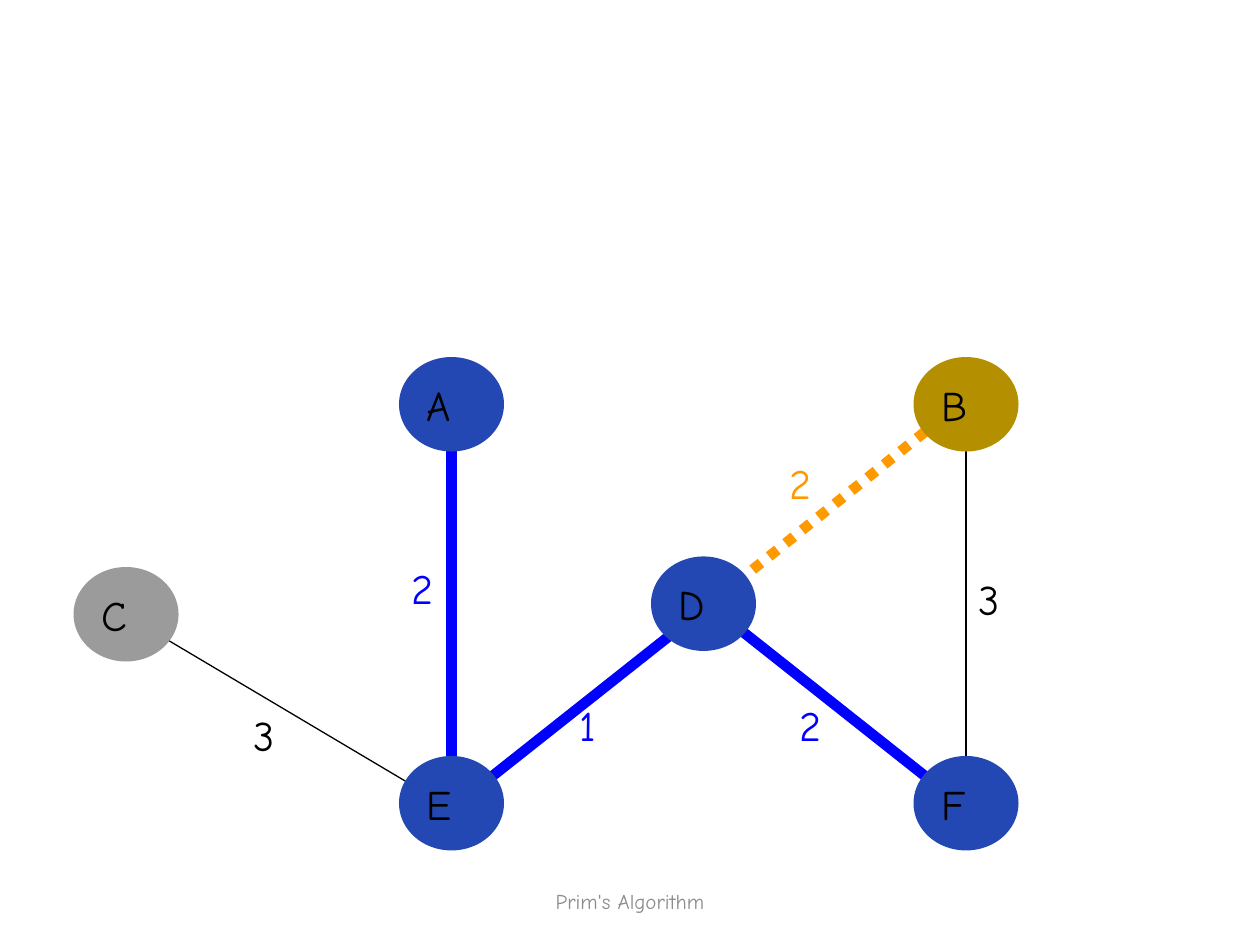
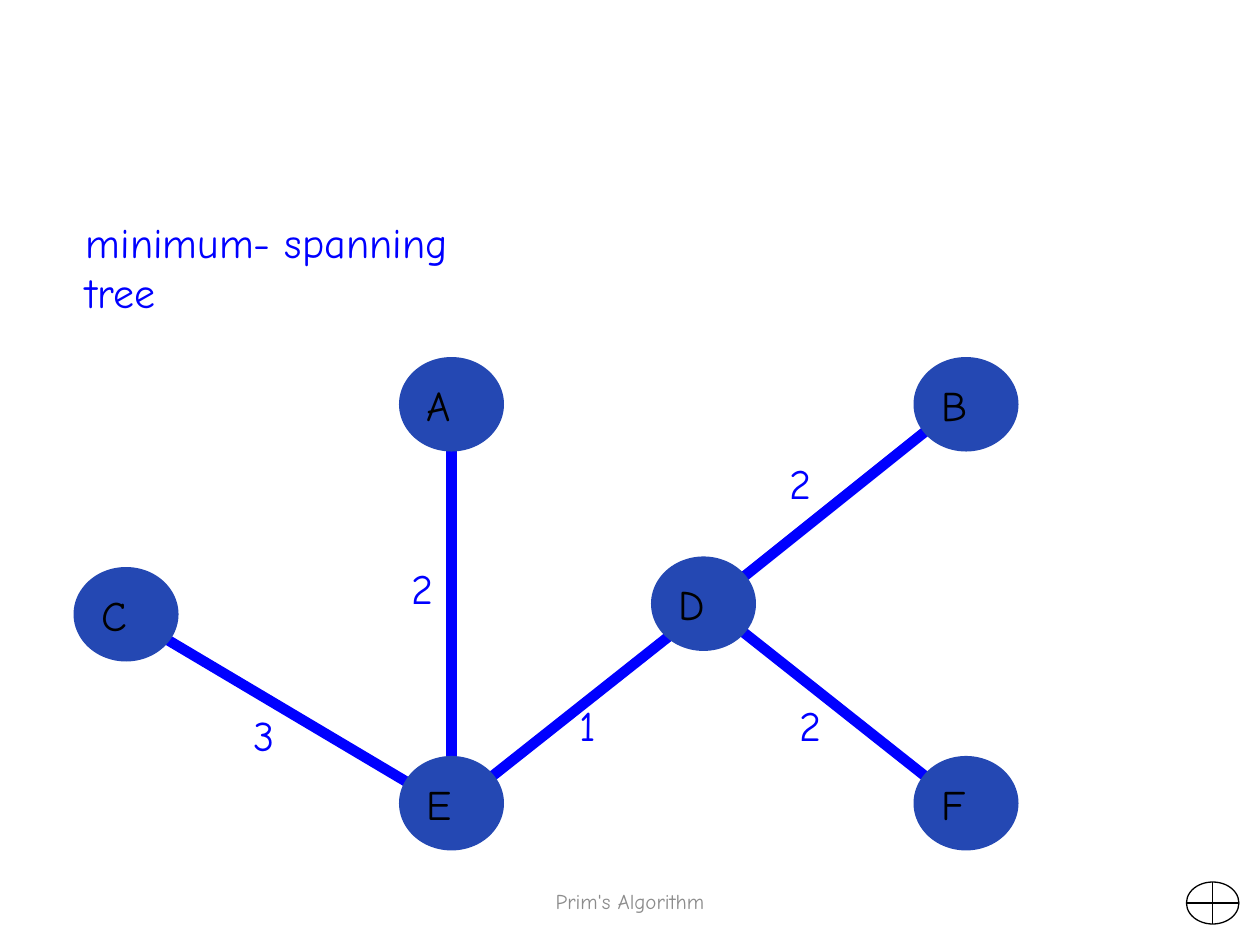
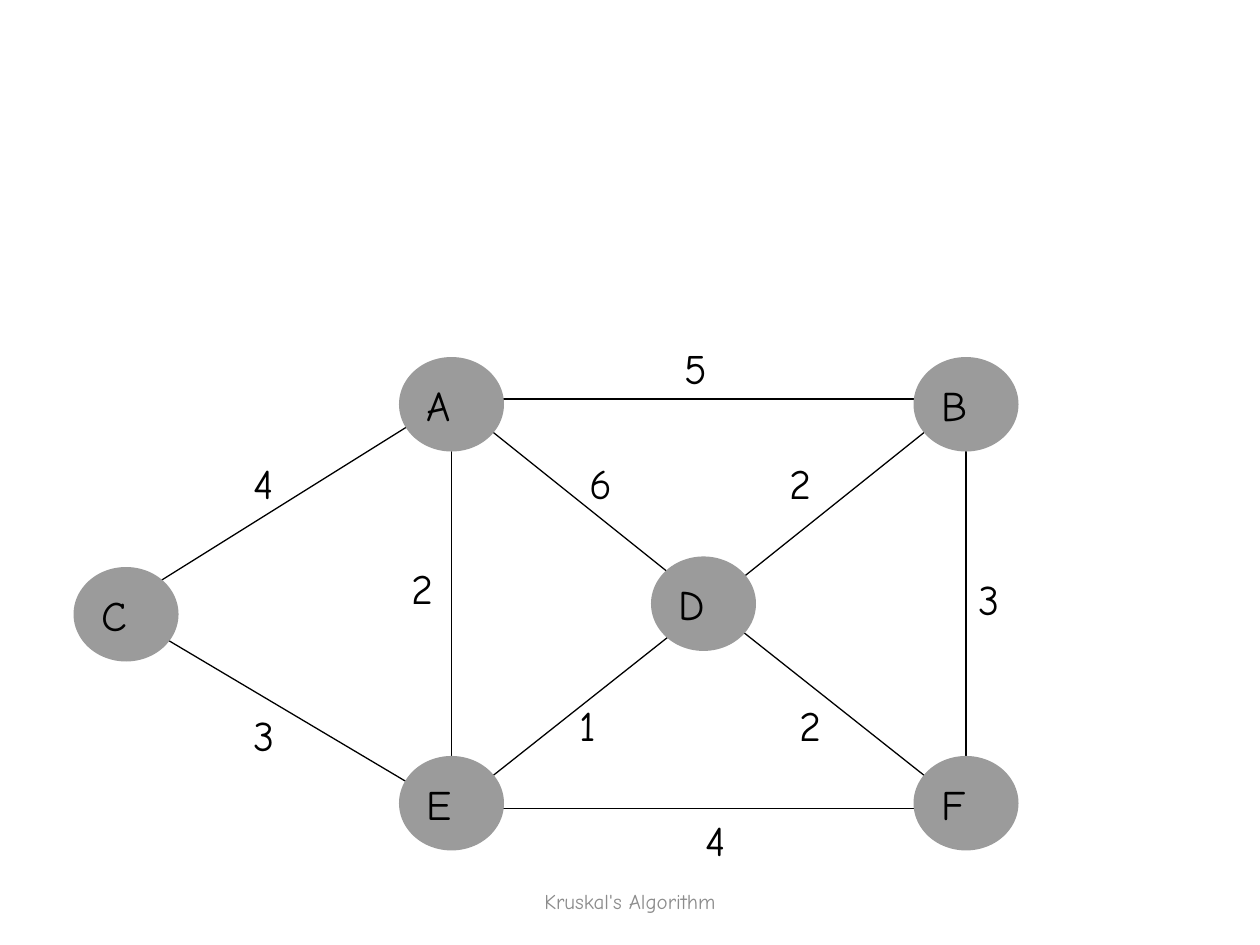
import dataclasses

import pptx
import pptx.dml.color
import pptx.enum.dml
import pptx.enum.shapes
import pptx.enum.text
import pptx.oxml.ns
import pptx.util
from lxml import etree

Cm = pptx.util.Cm
Pt = pptx.util.Pt
RGB = pptx.dml.color.RGBColor.from_string
Shape = pptx.enum.shapes.MSO_SHAPE
Anchor = pptx.enum.text.MSO_ANCHOR
Align = pptx.enum.text.PP_ALIGN
Fit = pptx.enum.text.MSO_AUTO_SIZE


@dataclasses.dataclass(frozen=True)
class Theme:
    font: str = "Comic Neue"
    ink: str = "000000"
    paper: str = "FFFFFF"
    footer: str = "8C8C8C"
    tree: str = "0000FF"
    candidate: str = "FF9900"
    node_open: str = "9B9B9B"
    node_tree: str = "2448B3"
    node_next: str = "B49000"
    text_size: int = 24
    footer_size: int = 12
    thin: float = 0.75
    thick: float = 6


@dataclasses.dataclass(frozen=True)
class Edge:
    weight: str
    start: tuple
    end: tuple
    label: tuple


THEME = Theme()
STEP = 2.54 / 12

NODES = {
    "C": (7, 54), "F": (87, 72), "E": (38, 72),
    "A": (38, 34), "B": (87, 34), "D": (62, 53),
}
NODE_SIZE = (10, 9)
LABEL_SIZE = (6, 6)

A, B, C, E, F = (43, 38), (92, 38), (11, 58), (43, 77), (92, 77)
D_WEST, D_EAST = (67, 58), (68, 58)

EDGES = {
    "EF": Edge("4", E, F, (66, 77)),
    "BF": Edge("3", F, B, (92, 54)),
    "AB": Edge("5", B, A, (64, 32)),
    "AE": Edge("2", A, E, (38, 53)),
    "DF": Edge("2", D_EAST, F, (75, 66)),
    "AD": Edge("6", A, D_EAST, (55, 43)),
    "DE": Edge("1", D_WEST, E, (54, 66)),
    "BD": Edge("2", D_WEST, B, (74, 43)),
    "AC": Edge("4", C, A, (23, 43)),
    "CE": Edge("3", C, E, (23, 67)),
}


def grid(*counts):
    return [Cm(count * STEP) for count in counts]


def apply(target, values):
    for name, value in values.items():
        setattr(target, name, value)


def write(shape, text, colour, size=THEME.text_size, align=Align.LEFT, **frame_format):
    frame = shape.text_frame
    apply(frame, frame_format)
    para = frame.paragraphs[0]
    para.alignment = align
    span = para.add_run()
    span.text = text
    apply(span.font, {"name": THEME.font, "size": Pt(size)})
    span.font.color.rgb = RGB(colour)


def add_text(slide, at, extent, text, colour, **text_format):
    box = slide.shapes.add_textbox(*grid(*at, *extent))
    write(box, text, colour, **{"word_wrap": True, **text_format})


def add_edge(slide, edge, colour, width, dash=None):
    line = slide.shapes.add_connector(
        pptx.enum.shapes.MSO_CONNECTOR.STRAIGHT, *grid(*edge.start, *edge.end))
    line.line.color.rgb = RGB(colour)
    apply(line.line, {"width": Pt(width), "dash_style": dash})
    etree.SubElement(line._element.spPr, pptx.oxml.ns.qn("a:effectLst"))


def add_node(slide, name, colour):
    node = slide.shapes.add_shape(Shape.OVAL, *grid(*NODES[name], *NODE_SIZE))
    node.shadow.inherit = False
    node.fill.solid()
    node.fill.fore_color.rgb = RGB(colour)
    node.line.fill.background()
    write(node, name, THEME.ink, word_wrap=False, vertical_anchor=Anchor.MIDDLE)


def add_end_mark(slide):
    mark = slide.shapes.add_shape(Shape.FLOWCHART_OR, *grid(113, 84, 5, 4))
    mark.shadow.inherit = False
    mark.fill.background()
    mark.line.color.rgb = RGB(THEME.ink)
    mark.line.width = Pt(THEME.thin)


def add_graph(slide, edges, tree_edges=(), candidate=None, tree_nodes="", next_node=None):
    styles = {name: (THEME.ink, THEME.thin) for name in edges}
    styles.update({name: (THEME.tree, THEME.thick) for name in tree_edges})
    if candidate:
        styles[candidate] = (
            THEME.candidate, THEME.thick, pptx.enum.dml.MSO_LINE.ROUND_DOT)
    for name in edges:
        add_edge(slide, EDGES[name], *styles[name])
    for name in NODES:
        colour = THEME.node_tree if name in tree_nodes else THEME.node_open
        add_node(slide, name, THEME.node_next if name == next_node else colour)
    for name in edges:
        edge = EDGES[name]
        add_text(slide, edge.label, LABEL_SIZE, edge.weight, styles[name][0],
                 auto_size=Fit.SHAPE_TO_FIT_TEXT)


def add_slide(deck, footer):
    slide = deck.slides.add_slide(deck.slide_layouts[6])
    slide.background.fill.solid()
    slide.background.fill.fore_color.rgb = RGB(THEME.paper)
    add_text(slide, (41, 83.4), (38, 4.8), footer, THEME.footer,
             size=THEME.footer_size, align=Align.CENTER, vertical_anchor=Anchor.MIDDLE)
    return slide


def main():
    deck = pptx.Presentation()
    apply(deck, {"slide_width": Cm(25.4), "slide_height": Cm(19.05)})
    tree = ["AE", "DF", "DE", "BD", "CE"]
    partial = ["AE", "DF", "DE"]

    slide = add_slide(deck, "Prim's Algorithm")
    add_graph(slide, ["BF"] + tree, partial, "BD", "AEDF", "B")

    slide = add_slide(deck, "Prim's Algorithm")
    add_graph(slide, tree, tree, tree_nodes="ABCDEF")
    add_text(slide, (7, 20), (44.6, 6), "minimum- spanning tree", THEME.tree,
             margin_right=Cm(1.2))
    add_end_mark(slide)

    slide = add_slide(deck, "Kruskal's Algorithm")
    add_graph(slide, list(EDGES))

    deck.save("out.pptx")


main()
